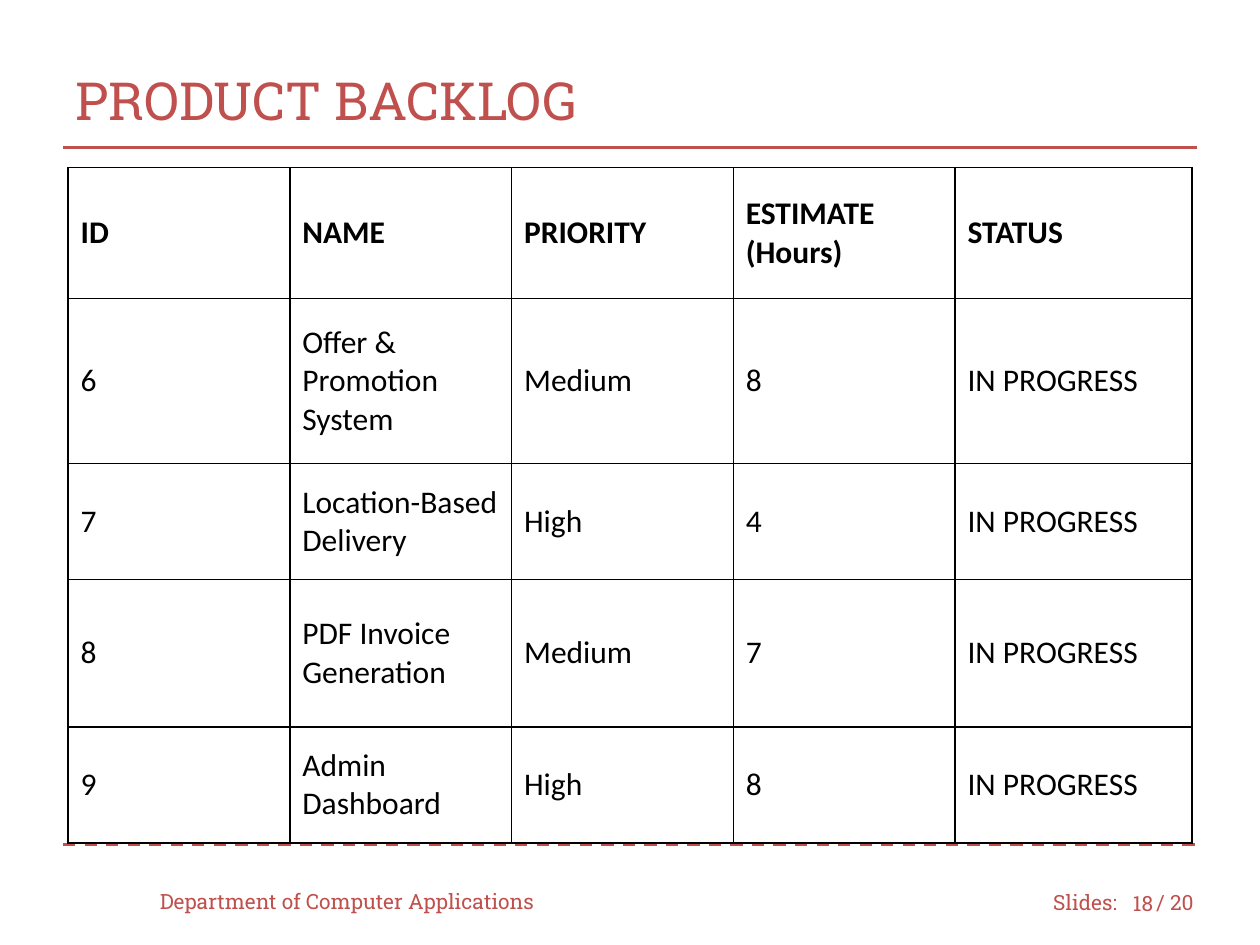
import lxml.etree
import pptx
import pptx.dml.color
import pptx.enum.dml
import pptx.enum.shapes
import pptx.enum.text
import pptx.oxml.ns
import pptx.util

inch, point = pptx.util.Inches, pptx.util.Pt
color = pptx.dml.color.RGBColor.from_string
align = pptx.enum.text.PP_ALIGN
middle = pptx.enum.text.MSO_ANCHOR.MIDDLE
tag = pptx.oxml.ns.qn

theme = {
    "red": "C0504D", "ink": "000000", "paper": "FFFFFF",
    "slab": "Roboto Slab", "body": "Calibri",
    "title": 30, "cell": 18, "foot": 12, "rule": 1.75, "border": 1,
}


def style(frame, size, font, tint, bold=False, side=align.LEFT):
    """Format all the text of a frame and centre it vertically."""
    frame.word_wrap = True
    frame.vertical_anchor = middle
    for para in frame.paragraphs:
        para.alignment = side
        for run in para.runs:
            run.font.size = point(theme[size])
            run.font.name = theme[font]
            run.font.bold = bold
            run.font.color.rgb = color(theme[tint])


def frame_cell(cell):
    """Draw a thin dark border on all four sides of a cell."""
    props = cell._tc.get_or_add_tcPr()
    for spot, side in enumerate(("lnL", "lnR", "lnT", "lnB")):
        line = lxml.etree.Element(tag("a:" + side), w=str(point(theme["border"])))
        fill = lxml.etree.SubElement(line, tag("a:solidFill"))
        lxml.etree.SubElement(fill, tag("a:srgbClr"), val=theme["ink"])
        props.insert(spot, line)


deck = pptx.Presentation()
deck.slide_width, deck.slide_height = inch(10), inch(7.5)
slide = deck.slides.add_slide(deck.slide_layouts[5])
wide, high = deck.slide_width, deck.slide_height
edge = int(wide * 0.05)

# Rules above and below the table
for level, dash in ((1.17, None), (6.7, pptx.enum.dml.MSO_LINE.DASH)):
    rule = slide.shapes.add_connector(
        pptx.enum.shapes.MSO_CONNECTOR.STRAIGHT,
        edge, inch(level), wide - edge, inch(level))
    rule.line.color.rgb = color(theme["red"])
    rule.line.width = point(theme["rule"])
    if dash:
        rule.line.dash_style = dash
    lxml.etree.SubElement(rule._element.spPr, tag("a:effectLst"))

# Title
title = slide.shapes.title
title.left, title.top = edge, inch(0.33)
title.width, title.height = wide - 2 * edge, inch(0.92)
title.text_frame.text = "PRODUCT BACKLOG"
style(title.text_frame, "title", "slab", "red")

# Footer: text, left, top, width, alignment
foot = [
    ("Department of Computer Applications", 1.17, 6.95, 3.33, align.LEFT),
    ("Slides:", 8.26, 6.96, 0.75, align.LEFT),
    ("18", 8.83, 6.97, 0.42, align.RIGHT),
    ("/ 20", 9.08, 6.96, 0.58, align.LEFT),
]
for words, left, top, width, side in foot:
    box = slide.shapes.add_textbox(inch(left), inch(top), inch(width), inch(0.4))
    box.text_frame.text = words
    style(box.text_frame, "foot", "slab", "red", side=side)

# Backlog table
state = "IN PROGRESS"
rows = [
    ("ID", "NAME", "PRIORITY", "ESTIMATE (Hours)", "STATUS"),
    ("6", "Offer & Promotion System", "Medium", "8", state),
    ("7", "Location-Based Delivery", "High", "4", state),
    ("8", "PDF Invoice Generation", "Medium", "7", state),
    ("9", "Admin Dashboard", "High", "8", state),
]
spans = [1.76] * 4 + [1.88]
depths = [1.04, 1.31, 0.92, 1.17, 0.92]
grid = slide.shapes.add_table(
    len(rows), len(spans), inch(0.54), inch(1.33),
    inch(sum(spans)), inch(sum(depths))).table
for col, span in zip(grid.columns, spans):
    col.width = inch(span)
for row, depth in zip(grid.rows, depths):
    row.height = inch(depth)
for r, row in enumerate(rows):
    for c, words in enumerate(row):
        cell = grid.cell(r, c)
        cell.text_frame.text = words
        style(cell.text_frame, "cell", "body", "ink", bold=r == 0)
        cell.vertical_anchor = middle
        cell.fill.solid()
        cell.fill.fore_color.rgb = color(theme["paper"])
        frame_cell(cell)

deck.save("out.pptx")
